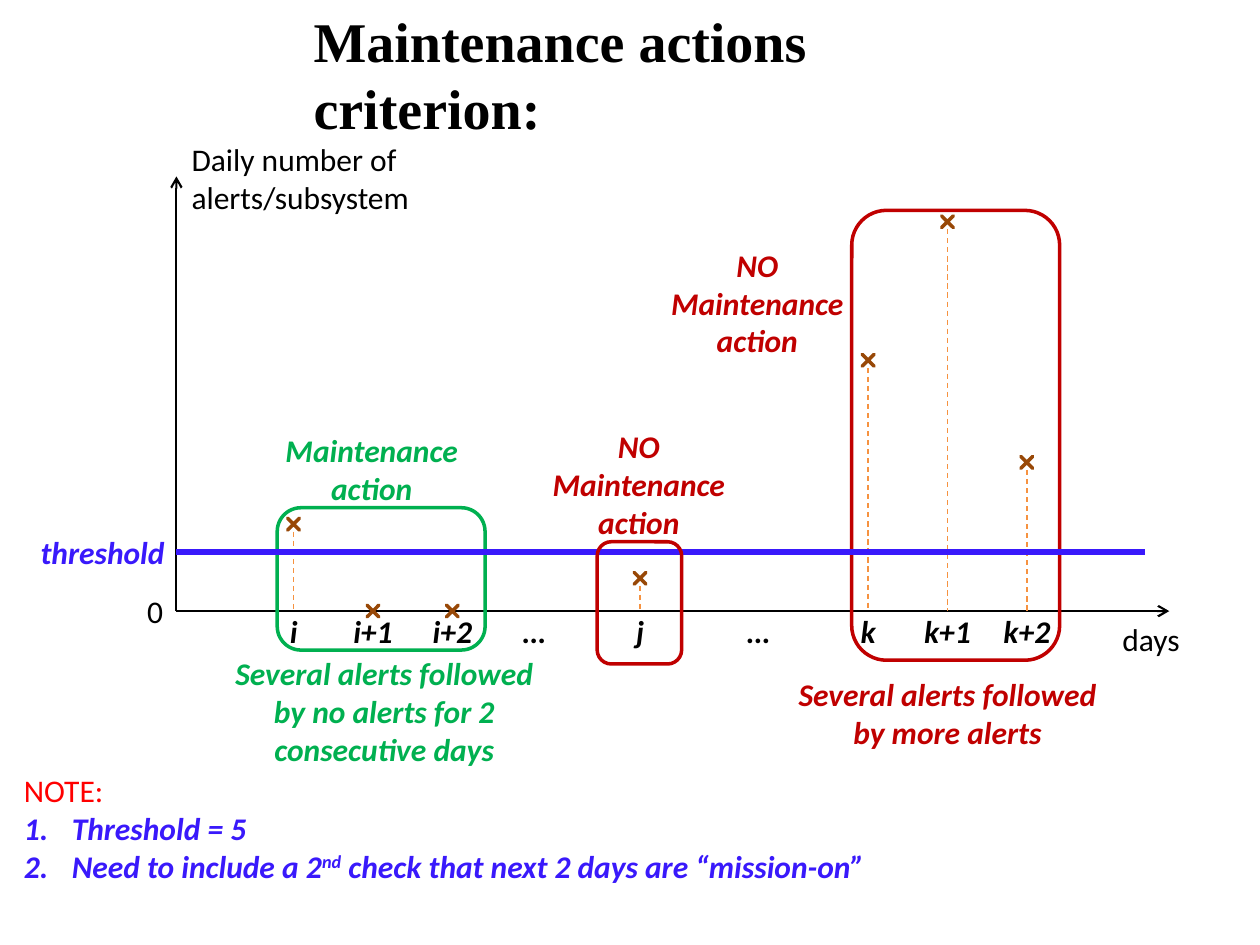
from dataclasses import dataclass

from pptx import Presentation
from pptx.dml.color import RGBColor
from pptx.enum.dml import MSO_LINE_DASH_STYLE as Dash
from pptx.enum.shapes import MSO_CONNECTOR, MSO_SHAPE
from pptx.enum.text import MSO_ANCHOR as Anchor, MSO_AUTO_SIZE, PP_ALIGN as Align
from pptx.oxml.ns import qn
from pptx.util import Inches, Pt


@dataclass(frozen=True)
class Theme:
    black: str = "000000"
    green: str = "00B050"
    dark_red: str = "C00000"
    red: str = "FF0000"
    blue: str = "3919FB"
    stem: str = "F69240"
    mark: str = "984807"
    mark_fill: str = "4F81BD"
    title_font: str = "Times New Roman"
    font: str = "Calibri"
    title_size: int = 32
    size: int = 18


T = Theme()
INSET = (0.1, 0.05, 0.1, 0.05)
FLUSH = (0, 0, 0, 0)
STRONG = dict(bold=True, italic=True)
MARK = 0.18
DAY_STEP = 0.63


def add_run(p, text, color=T.black, font=T.font, size=T.size, **fmt):
    r = p.add_run()
    r.text = text
    for name, value in dict(name=font, size=Pt(size), **fmt).items():
        setattr(r.font, name, value)
    r.font.color.rgb = RGBColor.from_string(color)
    return r


def add_text(s, box, lines=(), align=Align.LEFT, anchor=Anchor.TOP, inset=FLUSH, **fmt):
    tf = s.shapes.add_textbox(*map(Inches, box)).text_frame
    left, top, right, bottom = map(Inches, inset)
    frame = dict(word_wrap=True, auto_size=MSO_AUTO_SIZE.SHAPE_TO_FIT_TEXT,
                 vertical_anchor=anchor, margin_left=left, margin_top=top,
                 margin_right=right, margin_bottom=bottom)
    for name, value in frame.items():
        setattr(tf, name, value)
    for n, line in enumerate(lines):
        p = tf.add_paragraph() if n else tf.paragraphs[0]
        p.alignment = align
        add_run(p, line, **fmt)
    return tf


def add_line(s, x1, y1, x2, y2, color, width, dash=None, arrow=False):
    c = s.shapes.add_connector(MSO_CONNECTOR.STRAIGHT, *map(Inches, (x1, y1, x2, y2)))
    c.line.color.rgb = RGBColor.from_string(color)
    c.line.width = Pt(width)
    if dash:
        c.line.dash_style = dash
    if arrow:
        ln = c.line._get_or_add_ln()
        ln.append(ln.makeelement(qn("a:tailEnd"), {"type": "arrow"}))
    sp_pr = c._element.spPr
    sp_pr.append(sp_pr.makeelement(qn("a:effectLst"), {}))


def add_outline(s, kind, box, color, fill=None):
    sp = s.shapes.add_shape(kind, *map(Inches, box))
    sp.shadow.inherit = False
    if fill:
        sp.fill.solid()
        sp.fill.fore_color.rgb = RGBColor.from_string(fill)
    else:
        sp.fill.background()
    sp.line.color.rgb = RGBColor.from_string(color)
    sp.line.width = Pt(2)
    return sp


def add_axes(s, box):
    left, top, width, height = box
    base = top + height
    add_line(s, left, base, left, top, T.black, 1.25, arrow=True)
    add_line(s, left, base, left + width, base, T.black, 1.25, arrow=True)
    add_text(s, (left + 0.12, top - 0.3, 1.82, 0.61),
             ["Daily number of alerts/subsystem"], anchor=Anchor.BOTTOM)
    add_text(s, (left - 0.33, base - 0.2, 0.33, 0.4), ["0"], inset=INSET)
    add_text(s, (left + width - 0.47, base + 0.02, 0.92, 0.4), ["days"], inset=INSET)
    # Gaps between the day groups
    for dx in (2.68, 4.46):
        add_day_label(s, left + dx + 0.16, base, "…")


def add_day_label(s, x, base, label):
    add_text(s, (x - 0.24, base + 0.01, 0.48, 0.3), [label], Align.CENTER,
             Anchor.MIDDLE, **STRONG)


def add_event(s, box, base, color, days, captions, first=0.13):
    """days holds (label, height above the axis); captions (offset box, lines)."""
    left, top = box[:2]
    for n, (label, rise) in enumerate(days):
        x, y = left + first + n * DAY_STEP, base - rise
        if rise:
            add_line(s, x, y + 0.06, x, base, T.stem, 0.75, dash=Dash.DASH)
        cross = add_outline(s, MSO_SHAPE.MATH_MULTIPLY,
                            (x - MARK / 2, y - MARK / 2, MARK, MARK), T.mark, T.mark_fill)
        cross.adjustments[0] = 0
        add_day_label(s, x, base, label)
    for (dx, dy, w, h), lines in captions:
        add_text(s, (left + dx, top + dy, w, h), lines, Align.CENTER, color=color, **STRONG)
    add_outline(s, MSO_SHAPE.ROUNDED_RECTANGLE, box, color)


def add_threshold(s, box):
    left, top, width, height = box
    add_text(s, (left, top, 1.13, height), ["threshold"], Align.CENTER,
             color=T.blue, **STRONG)
    y = top + height / 2
    add_line(s, left + 1.15, y, left + width, y, T.blue, 3.75)


def add_note(s, box):
    tf = add_text(s, box, ["NOTE:"], color=T.red)
    items = (["Threshold = 5"],
             ["Need to include a 2", "nd", " check that next 2 days are “mission-on”"])
    for parts in items:
        p = tf.add_paragraph()
        p_pr = p._p.get_or_add_pPr()
        p_pr.set("marL", str(Inches(0.38)))
        p_pr.set("indent", str(-Inches(0.38)))
        p_pr.append(p_pr.makeelement(qn("a:buAutoNum"), {"type": "arabicPeriod"}))
        for text in parts:
            r = add_run(p, text, T.blue, **STRONG)
            if text == "nd":
                r.font._element.set("baseline", "30000")


def main():
    prs = Presentation()
    prs.slide_width, prs.slide_height = Inches(10), Inches(7.5)
    s = prs.slides.add_slide(prs.slide_layouts[6])
    base = 4.85
    no_action = ["NO Maintenance", "action"]

    # Title and axes
    add_text(s, (2.39, 0, 5.69, 0.64), ["Maintenance actions criterion:"], inset=INSET,
             font=T.title_font, size=T.title_size, bold=True)
    add_axes(s, (1.4, 1.4, 7.88, base - 1.4))

    # Alerts that stop, alerts that go on, and a day below the threshold
    add_event(s, (2.2, 4.03, 1.65, 1.13), base, T.green,
              [("i", 0.69), ("i+1", 0), ("i+2", 0)],
              [((0.01, -0.61, 1.48, 0.61), ["Maintenance", "action"]),
               ((-0.34, 1.16, 2.38, 0.91),
                ["Several alerts followed by no alerts for 2 consecutive days"])])
    add_event(s, (6.76, 1.67, 1.65, 3.57), base, T.dark_red,
              [("k", 1.99), ("k+1", 3.09), ("k+2", 1.18)],
              [((-1.49, 0.28, 1.48, 0.91), no_action),
               ((-0.43, 3.69, 2.38, 0.61), ["Several alerts followed by more alerts"])])
    add_threshold(s, (0.25, 4.23, 8.84, 0.3))
    add_event(s, (4.74, 4.3, 0.67, 0.97), base, T.dark_red, [("j", 0.26)],
              [((-0.41, -0.91, 1.48, 0.91), no_action)], first=0.34)

    # Note
    add_note(s, (0.19, 6.12, 9.64, 0.91))
    prs.save("out.pptx")


if __name__ == "__main__":
    main()
